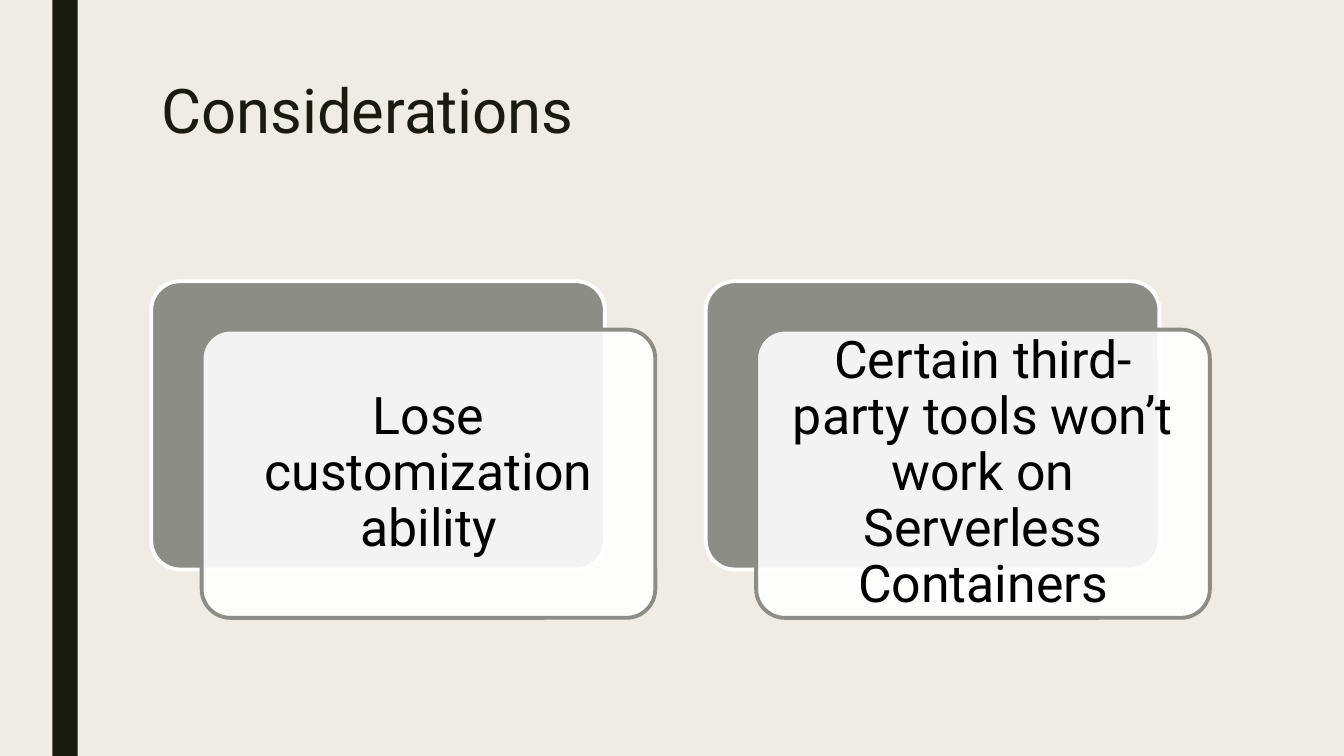
import pptx
import pptx.dml.color
import pptx.enum.shapes
import pptx.enum.text
import pptx.oxml
import pptx.oxml.ns
import pptx.util

TITLE = "Considerations"
CONSIDERATIONS = [
    "Lose customization ability",
    "Certain third-party tools won’t work on Serverless Containers",
]

RGBColor = pptx.dml.color.RGBColor
CREAM = RGBColor(0xEF, 0xED, 0xE3)
DARK = RGBColor(0x19, 0x1B, 0x0E)
GREY = RGBColor(0x8C, 0x8D, 0x86)
WHITE = RGBColor(0xFF, 0xFF, 0xFF)
BLACK = RGBColor(0x00, 0x00, 0x00)

FONT = "Roboto"
SLIDE_WIDTH, SLIDE_HEIGHT = 13.33, 7.5
MARGIN_LEFT = 1.5
CARD_TOP, CARD_WIDTH, CARD_HEIGHT = 2.79, 4.5, 2.86
COLUMN_STEP = 5.5
FRONT_SHIFT_X, FRONT_SHIFT_Y = 0.5, 0.48

Inches = pptx.util.Inches
Shape = pptx.enum.shapes.MSO_SHAPE
Align = pptx.enum.text.PP_ALIGN
Anchor = pptx.enum.text.MSO_ANCHOR


def add_filled(slide, kind, left, top, width, height, fill):
    shape = slide.shapes.add_shape(
        kind, Inches(left), Inches(top), Inches(width), Inches(height))
    shape.shadow.inherit = False
    shape.fill.solid()
    shape.fill.fore_color.rgb = fill
    shape.line.fill.background()
    return shape


def add_card(slide, left, top, fill, outline):
    card = add_filled(slide, Shape.ROUNDED_RECTANGLE, left, top,
                      CARD_WIDTH, CARD_HEIGHT, fill)
    card.adjustments[0] = 0.1
    card.line.color.rgb = outline
    card.line.width = pptx.util.Pt(2.75)
    return card


def set_opacity(shape, percent):
    color = shape.fill._xPr.find(".//" + pptx.oxml.ns.qn("a:srgbClr"))
    alpha = pptx.oxml.parse_xml(
        f'<a:alpha {pptx.oxml.ns.nsdecls("a")} val="{percent * 1000}"/>')
    color.append(alpha)


def write(shape, text, size, color, align, anchor, inset_x, inset_y):
    frame = shape.text_frame
    frame.word_wrap = True
    frame.vertical_anchor = anchor
    frame.margin_left = frame.margin_right = Inches(inset_x)
    frame.margin_top = frame.margin_bottom = Inches(inset_y)
    para = frame.paragraphs[0]
    para.text = text
    para.alignment = align
    para.line_spacing = 0.9
    para.font.name = FONT
    para.font.size = pptx.util.Pt(size)
    para.font.color.rgb = color


def main():
    deck = pptx.Presentation()
    deck.slide_width = Inches(SLIDE_WIDTH)
    deck.slide_height = Inches(SLIDE_HEIGHT)
    slide = deck.slides.add_slide(deck.slide_layouts[6])
    slide.background.fill.solid()
    slide.background.fill.fore_color.rgb = CREAM

    add_filled(slide, Shape.RECTANGLE, 0.52, 0, 0.25, SLIDE_HEIGHT, DARK)

    title = slide.shapes.add_textbox(
        Inches(MARGIN_LEFT), Inches(0.75), Inches(10.5), Inches(1.62))
    write(title, TITLE, 44, DARK, Align.LEFT, Anchor.TOP, 0.1, 0.05)

    for column, text in enumerate(CONSIDERATIONS):
        left = MARGIN_LEFT + column * COLUMN_STEP
        add_card(slide, left, CARD_TOP, GREY, WHITE)
        front = add_card(slide, left + FRONT_SHIFT_X,
                         CARD_TOP + FRONT_SHIFT_Y, WHITE, GREY)
        set_opacity(front, 90)
        # The rounded corners add their own inset to the text area.
        write(front, text, 37, BLACK, Align.CENTER, Anchor.MIDDLE, 0.15, 0)

    deck.save("out.pptx")


if __name__ == "__main__":
    main()
